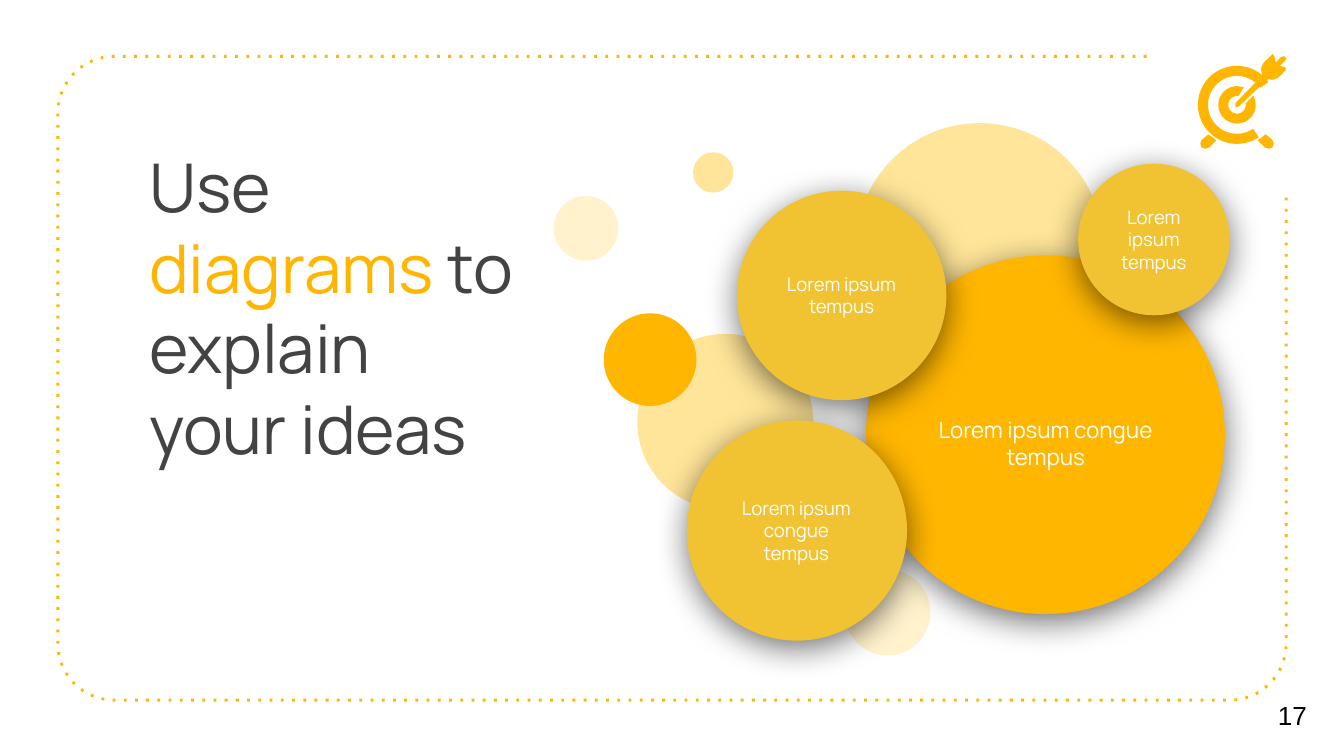
from math import cos, radians, sin

from lxml import etree
from pptx import Presentation
from pptx.dml.color import RGBColor
from pptx.enum.shapes import MSO_SHAPE
from pptx.enum.text import MSO_ANCHOR, MSO_AUTO_SIZE, PP_ALIGN
from pptx.oxml.ns import qn
from pptx.util import Pt

ELLIPSE = MSO_SHAPE.OVAL
TOP, MIDDLE = MSO_ANCHOR.TOP, MSO_ANCHOR.MIDDLE
LEFT, CENTER = PP_ALIGN.LEFT, PP_ALIGN.CENTER
NO_AUTOFIT = MSO_AUTO_SIZE.NONE

COLORS = {
    "amber": "FFB600",
    "gold": "F1C232",
    "light": "FFE599",
    "pale": "FFF2CC",
    "ink": "434343",
    "black": "000000",
    "white": "FFFFFF",
}
BRAND_FONT = "Manrope"
INSET = 7.2

BACKGROUND_BUBBLES = [
    (452.4, 305.1, 46.1, "pale"),
    (296.6, 105, 34.7, "pale"),
    (341.4, 178.9, 94.3, "light"),
    (458.6, 66, 132.5, "light"),
    (323.5, 167.9, 49.6, "amber"),
    (371.3, 81.6, 21.6, "light"),
]
LABELLED_BUBBLES = [
    ((464, 136.8, 192.2, "amber"), (486.7, 191.5, 146.9, 91.4),
     "Lorem ipsum congue tempus", 12),
    ((394.8, 102.2, 112.2, "gold"), (412.6, 121, 76.3, 74.2),
     "Lorem ipsum tempus", 10),
    ((367.9, 225.2, 118, "gold"), (384.5, 247, 84.2, 74.2),
     "Lorem ipsum congue tempus", 10),
    ((577.6, 87.7, 81.2, "gold"), (590.4, 101.3, 55.4, 54),
     "Lorem ipsum tempus", 10),
]

TARGET_CENTER = (662.7, 56.2)
FOOT = [(647.3, 72), (643.7, 75.1), (643, 77), (643.7, 79), (645.6, 79.7),
        (647.9, 79), (651.6, 75.2)]
DART = [(681.8, 28.9), (676.8, 33.8), (675.5, 36.7), (676.2, 40.4),
        (661.8, 55.3), (661.8, 56.8), (662.4, 57.4), (663.8, 56.9),
        (679, 42.5), (682, 42.7), (684.5, 41.8), (689, 37.4),
        (688.5, 36), (685.6, 35.3), (688.5, 32.4), (689.2, 31.3),
        (687.8, 30.1), (686.3, 30.5), (683.4, 33.6), (682.7, 30.2)]


def rgb(color):
    return RGBColor.from_string(COLORS[color])


def arc(center, radius, start, end, steps=16):
    angles = [radians(start + (end - start) * i / steps) for i in range(steps + 1)]
    return [(center[0] + radius * cos(a), center[1] + radius * sin(a)) for a in angles]


def add_outline(slide, points, closed=True):
    corners = [(Pt(x), Pt(y)) for x, y in points]
    builder = slide.shapes.build_freeform(*corners[0])
    builder.add_line_segments(corners[1:], close=closed)
    outline = builder.convert_to_shape()
    outline.shadow.inherit = False
    return outline


def add_solid(slide, points):
    solid = add_outline(slide, points)
    solid.fill.solid()
    solid.fill.fore_color.rgb = rgb("amber")
    solid.line.fill.background()


def add_dotted_border(slide):
    left, top, right, bottom, radius = 31, 30.2, 689, 375.1, 30.2
    points = [(614.2, top)]
    points += arc((left + radius, top + radius), radius, 270, 180)
    points += arc((left + radius, bottom - radius), radius, 180, 90)
    points += arc((right - radius, bottom - radius), radius, 90, 0)
    points.append((right, 105.1))
    border = add_outline(slide, points, closed=False)
    border.fill.background()
    border.line.color.rgb = rgb("amber")
    border.line.width = Pt(1.5)
    line = border.element.spPr.find(qn("a:ln"))
    etree.SubElement(line, qn("a:prstDash")).set("val", "dot")


def set_frame(frame, anchor):
    frame.word_wrap = True
    frame.auto_size = NO_AUTOFIT
    frame.vertical_anchor = anchor
    frame.margin_left = frame.margin_right = Pt(INSET)
    frame.margin_top = frame.margin_bottom = Pt(INSET)


def set_font(font, name, size, color):
    font.name = name
    font.size = Pt(size)
    font.color.rgb = rgb(color)


def add_title(slide):
    title = slide.shapes.title
    title.left, title.top, title.width, title.height = map(Pt, (72.7, 70.6, 213, 67.7))
    set_frame(title.text_frame, TOP)
    paragraph = title.text_frame.paragraphs[0]
    paragraph.alignment = LEFT
    paragraph.font.name = BRAND_FONT
    paragraph.font.size = Pt(36)
    for words, color in [("Use ", "ink"), ("diagrams", "amber"),
                         (" to explain your ideas", "ink")]:
        run = paragraph.add_run()
        run.text = words
        run.font.color.rgb = rgb(color)


def add_label(slide, box, words, font_name, size, color, alignment):
    label = slide.shapes.add_textbox(*map(Pt, box))
    set_frame(label.text_frame, MIDDLE)
    paragraph = label.text_frame.paragraphs[0]
    paragraph.text = words
    paragraph.alignment = alignment
    set_font(paragraph.font, font_name, size, color)


def add_bubble(slide, left, top, diameter, color):
    bubble = slide.shapes.add_shape(ELLIPSE, *map(Pt, (left, top, diameter, diameter)))
    bubble.shadow.inherit = False
    bubble.fill.solid()
    bubble.fill.fore_color.rgb = rgb(color)
    bubble.line.fill.background()
    return bubble


def add_soft_shadow(bubble):
    effects = bubble.element.spPr.find(qn("a:effectLst"))
    shadow = etree.SubElement(effects, qn("a:outerShdw"), blurRad=str(Pt(18)),
                              dist=str(Pt(4)), dir="5400000", algn="bl",
                              rotWithShape="0")
    shade = etree.SubElement(shadow, qn("a:srgbClr"), val=COLORS["black"])
    etree.SubElement(shade, qn("a:alpha"), val="55000")


def add_target_icon(slide):
    add_solid(slide, arc(TARGET_CENTER, 20.9, -36, -304, 48)
              [::-1] + arc(TARGET_CENTER, 15.5, -36, -304, 48))
    add_solid(slide, arc(TARGET_CENTER, 10, -30, 291, 48)
              + arc(TARGET_CENTER, 4.7, 280, -9, 48))
    add_solid(slide, FOOT)
    add_solid(slide, [(2 * TARGET_CENTER[0] - x, y) for x, y in FOOT])
    add_solid(slide, DART)


def main():
    deck = Presentation()
    deck.slide_width, deck.slide_height = Pt(720), Pt(405)
    slide = deck.slides.add_slide(deck.slide_layouts[5])
    add_dotted_border(slide)
    add_title(slide)
    add_label(slide, (677.5, 361.4, 42.5, 43.2), "17", "Arial", 14, "black", LEFT)
    for bubble in BACKGROUND_BUBBLES:
        add_bubble(slide, *bubble)
    for bubble, box, words, size in LABELLED_BUBBLES:
        add_soft_shadow(add_bubble(slide, *bubble))
        add_label(slide, box, words, BRAND_FONT, size, "white", CENTER)
    add_target_icon(slide)
    deck.save("out.pptx")


if __name__ == "__main__":
    main()
